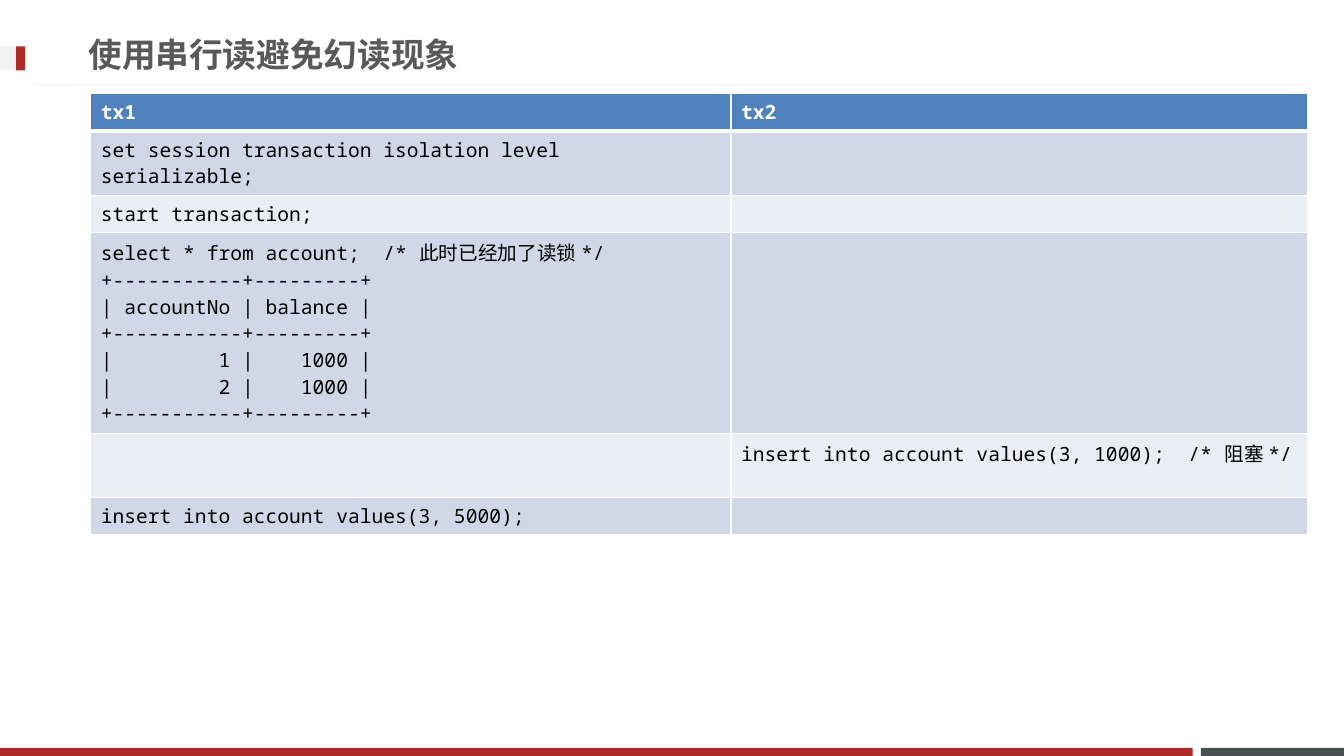
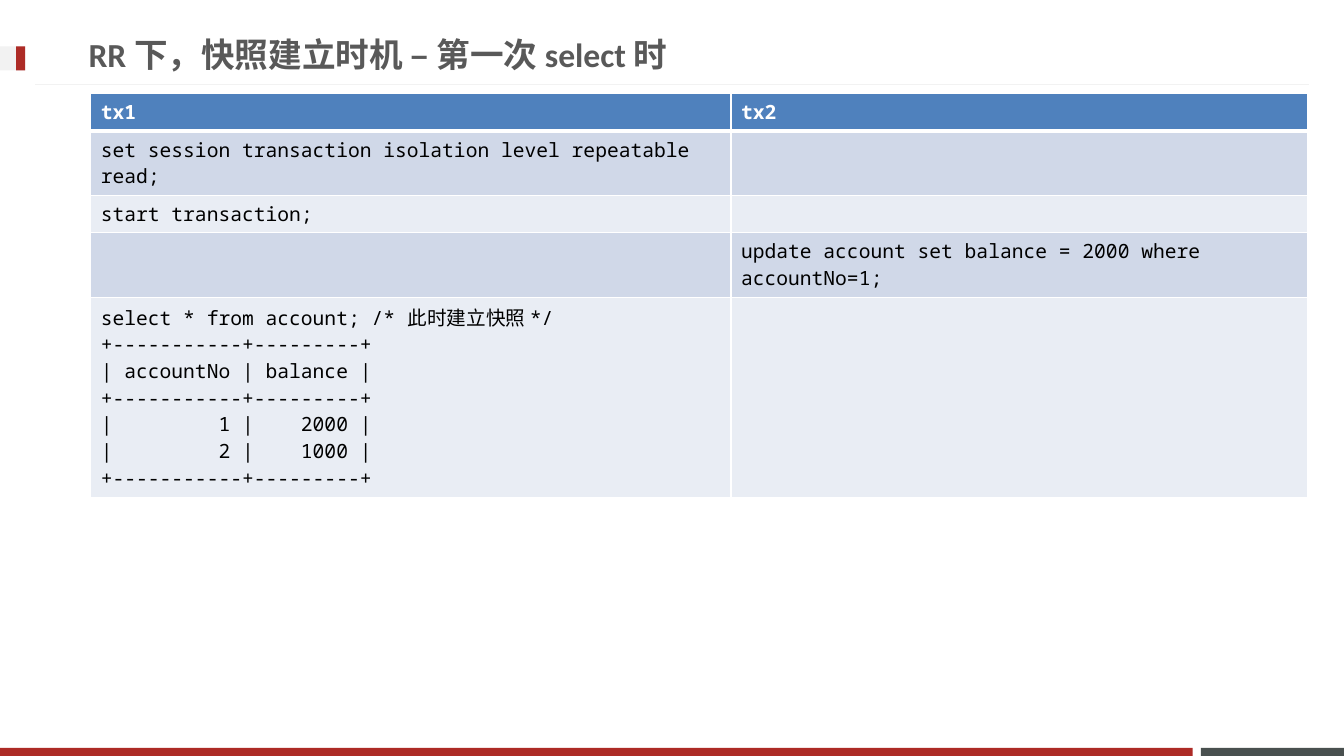
from math import ceil

from lxml.etree import SubElement as Sub
from pptx import Presentation
from pptx.dml.color import RGBColor as RGB
from pptx.enum.shapes import MSO_CONNECTOR as LINK, MSO_SHAPE as SHAPE
from pptx.enum.text import MSO_ANCHOR as ANCHOR
from pptx.oxml.ns import qn
from pptx.util import Inches, Pt

HUES = {
    "red": "AD2B26", "slate": "49504F", "pale": "F2F2F2", "title": "595959",
    "head": "4F81BD", "odd": "D0D8E8", "even": "E9EDF4",
    "white": "FFFFFF", "black": "000000",
}
BANDS = [
    (11.91, 7.42, 1.42, 0.08, "slate"),
    (0, 7.42, 11.83, 0.08, "red"),
    (0, 0.46, 0.25, 0.24, "pale"),
    (0.16, 0.46, 0.09, 0.24, "red"),
]
COLS = (6.35, 5.72)
CHARS = (52, 47)  # characters that fit on one line of each column
LINE, PAD = 0.27, 0.1


def hue(name):
    return RGB.from_string(HUES[name])


def write(frame, text, *, font, size, color="black", bold=False):
    """Fill a text frame with one paragraph for each line of text."""
    for i, line in enumerate(text.split("\n")):
        para = frame.add_paragraph() if i else frame.paragraphs[0]
        if not line:
            # An empty cell still needs a size, or its row grows.
            Sub(para._p, qn("a:endParaRPr"), sz=str(size * 100))
            continue
        run = para.add_run()
        run.text = line
        run.font.name = font
        run.font.size = Pt(size)
        run.font.bold = bold
        run.font.color.rgb = hue(color)


def band(slide, x, y, w, h, color):
    box = slide.shapes.add_shape(
        SHAPE.RECTANGLE, Inches(x), Inches(y), Inches(w), Inches(h))
    box.shadow.inherit = False
    box.fill.solid()
    box.fill.fore_color.rgb = hue(color)
    box.line.fill.background()


def rule(slide, x1, x2, y):
    line = slide.shapes.add_connector(
        LINK.STRAIGHT, Inches(x1), Inches(y), Inches(x2), Inches(y))
    line.line.color.rgb = hue("pale")
    line.line.width = Pt(0.75)
    Sub(line._element.spPr, qn("a:effectLst"))


def head(slide, text):
    box = slide.shapes.add_textbox(
        Inches(0.78), Inches(0.25), Inches(9.59), Inches(0.57))
    frame = box.text_frame
    frame.word_wrap = True
    frame.vertical_anchor = ANCHOR.MIDDLE
    write(frame, text, font="Calibri", size=24, color="title", bold=True)


def edge(cell, **widths):
    """Draw white borders; widths are points for the sides L, R, T and B."""
    props = cell._tc.get_or_add_tcPr()
    for side, width in widths.items():
        line = Sub(props, qn(f"a:ln{side}"), w=str(Pt(width)))
        Sub(Sub(line, qn("a:solidFill")), qn("a:srgbClr"), val=HUES["white"])


def count(text, chars):
    """Count wrapped lines; a Chinese character takes two places."""
    wide = [sum(1 if c.isascii() else 2 for c in line)
            for line in text.split("\n")]
    return sum(max(1, ceil(w / chars)) for w in wide)


def tall(row):
    """Give the height that a row needs for its longest cell."""
    return PAD + LINE * max(map(count, row, CHARS))


def grid(slide, rows):
    """Place the table of two sessions, with a header and banded rows."""
    rows = [("tx1", "tx2"), *rows]
    table = slide.shapes.add_table(
        len(rows), len(COLS), Inches(0.9), Inches(0.93),
        Inches(sum(COLS)), Inches(sum(map(tall, rows)))).table
    table.horz_banding = False
    for col, width in zip(table.columns, COLS):
        col.width = Inches(width)
    for r, row in enumerate(rows):
        table.rows[r].height = Inches(tall(row))
        top = r == 0
        fill = "head" if top else "odd" if r % 2 else "even"
        for c, text in enumerate(row):
            cell = table.cell(r, c)
            edge(cell, L=1, R=1, T=3 if r == 1 else 1, B=3 if top else 1)
            cell.fill.solid()
            cell.fill.fore_color.rgb = hue(fill)
            write(cell.text_frame, text, font="Noto Sans Mono", size=14,
                  color="white" if top else "black", bold=top)


def query(code, *sums):
    """Give a select statement followed by its printed result."""
    bar = "+-----------+---------+"
    data = [f"| {n:>9} | {total:>7} |" for n, total in enumerate(sums, 1)]
    return "\n".join([code, bar, "| accountNo | balance |", bar, *data, bar])


def page(deck, title, rows):
    slide = deck.slides.add_slide(deck.slide_layouts[6])
    for item in BANDS:
        band(slide, *item)
    rule(slide, 0.35, 12.98, 0.84)
    head(slide, title)
    grid(slide, rows)


def main():
    deck = Presentation()
    deck.slide_width, deck.slide_height = Inches(13.33), Inches(7.5)
    page(deck, "使用串行读避免幻读现象", [
        ("set session transaction isolation level serializable;", ""),
        ("start transaction;", ""),
        (query("select * from account;  /* 此时已经加了读锁 */", 1000, 1000), ""),
        ("", "insert into account values(3, 1000);  /* 阻塞 */"),
        ("insert into account values(3, 5000);", ""),
    ])
    page(deck, "RR 下，快照建立时机 – 第一次 select 时", [
        ("set session transaction isolation level repeatable read;", ""),
        ("start transaction;", ""),
        ("", "update account set balance = 2000 where accountNo=1;"),
        (query("select * from account; /* 此时建立快照 */", 2000, 1000), ""),
    ])
    deck.save("out.pptx")


if __name__ == "__main__":
    main()
